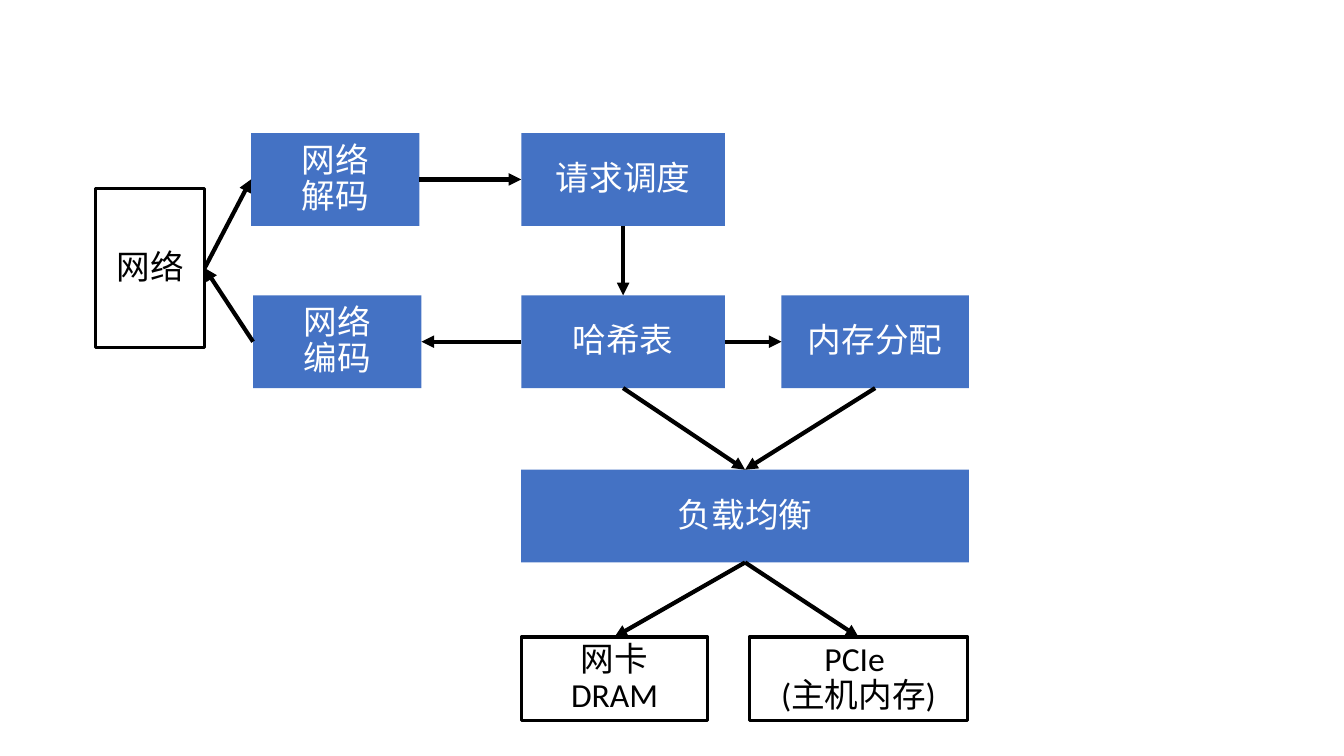
from lxml import etree
from pptx import Presentation
from pptx.dml.color import RGBColor
from pptx.enum.shapes import MSO_CONNECTOR, MSO_SHAPE
from pptx.enum.text import MSO_ANCHOR, PP_ALIGN
from pptx.oxml.ns import qn
from pptx.util import Inches, Pt

RECT = MSO_SHAPE.RECTANGLE
STRAIGHT = MSO_CONNECTOR.STRAIGHT
MIDDLE = MSO_ANCHOR.MIDDLE
CENTER = PP_ALIGN.CENTER
TOP, LEFT, BOTTOM, RIGHT = range(4)

BLUE, BLACK, WHITE = "4472C4", "000000", "FFFFFF"
COLS = {"network": 0.95, "decode": 2.49, "encode": 2.51, "core": 5.17,
        "host": 7.43, "alloc": 7.75}
ROWS = {"network": 1.87, "request": 1.32, "hash": 2.93, "balance": 4.66,
        "memory": 6.32}
STAGE_H, MEMORY_H = 0.92, 0.83

STAGES = {
    "decode": ("网络\n解码", "decode", "request", 1.67),
    "schedule": ("请求调度", "core", "request", 2.02),
    "hash": ("哈希表", "core", "hash", 2.02),
    "encode": ("网络\n编码", "encode", "hash", 1.67),
    "alloc": ("内存分配", "alloc", "hash", 1.86),
    "balance": ("负载均衡", "core", "balance", 4.44),
}
ENDPOINTS = {
    "network": ("网络", "network", "network", 1.08, 1.58),
    "host": ("PCIe \v(主机内存)", "host", "memory", 2.17, MEMORY_H),
    "nic": ("网卡 DRAM", "core", "memory", 1.85, MEMORY_H),
}
FLOWS = [
    ("network", RIGHT, "decode", LEFT),
    ("decode", RIGHT, "schedule", LEFT),
    ("schedule", BOTTOM, "hash", TOP),
    ("hash", LEFT, "encode", RIGHT),
    ("encode", LEFT, "network", RIGHT),
    ("hash", RIGHT, "alloc", LEFT),
    ("hash", BOTTOM, "balance", TOP),
    ("alloc", BOTTOM, "balance", TOP),
    ("balance", BOTTOM, "nic", TOP),
    ("balance", BOTTOM, "host", TOP),
]


def rgb(value):
    """Turn a hex string into a colour."""
    return RGBColor.from_string(value)


def write(tf, text, size=24, color=BLACK, font="Calibri"):
    """Fill a text frame with centred paragraphs."""
    tf.word_wrap = True
    tf.vertical_anchor = MIDDLE
    tf.margin_left = tf.margin_right = Inches(0.2)
    tf.margin_top = tf.margin_bottom = Inches(0.16)
    tf.text = text
    for p in tf.paragraphs:
        p.alignment = CENTER
        p.line_spacing = 0.9
        for r in p.runs:
            r.font.size = Pt(size)
            r.font.name = font
            r.font.color.rgb = rgb(color)


def add_box(s, text, col, row, width, height=STAGE_H, fill=BLUE, line=None,
            color=WHITE):
    """Add a labelled rectangle at a column and row."""
    sp = s.shapes.add_shape(RECT, Inches(COLS[col]), Inches(ROWS[row]),
                            Inches(width), Inches(height))
    sp.shadow.inherit = False
    sp.fill.solid()
    sp.fill.fore_color.rgb = rgb(fill)
    if line:
        sp.line.color.rgb = rgb(line)
        sp.line.width = Pt(2.25)
    else:
        sp.line.fill.background()
    write(sp.text_frame, text, color=color)
    return sp


def add_arrow(s, start, start_side, end, end_side):
    """Join the sides of two boxes with an arrow."""
    cx = s.shapes.add_connector(STRAIGHT, 0, 0, 0, 0)
    cx.begin_connect(start, start_side)
    cx.end_connect(end, end_side)
    cx.line.color.rgb = rgb(BLACK)
    cx.line.width = Pt(3)
    etree.SubElement(cx.line._get_or_add_ln(), qn("a:tailEnd"), type="triangle")
    etree.SubElement(cx._element.spPr, qn("a:effectLst"))


def main():
    """Build the request flow diagram."""
    prs = Presentation()
    prs.slide_width, prs.slide_height = Inches(13.33), Inches(7.5)
    s = prs.slides.add_slide(prs.slide_layouts[6])
    boxes = {name: add_box(s, *item) for name, item in STAGES.items()}
    for name, item in ENDPOINTS.items():
        boxes[name] = add_box(s, *item, fill=WHITE, line=BLACK, color=BLACK)
    for start, start_side, end, end_side in FLOWS:
        add_arrow(s, boxes[start], start_side, boxes[end], end_side)
    prs.save("out.pptx")


if __name__ == "__main__":
    main()
